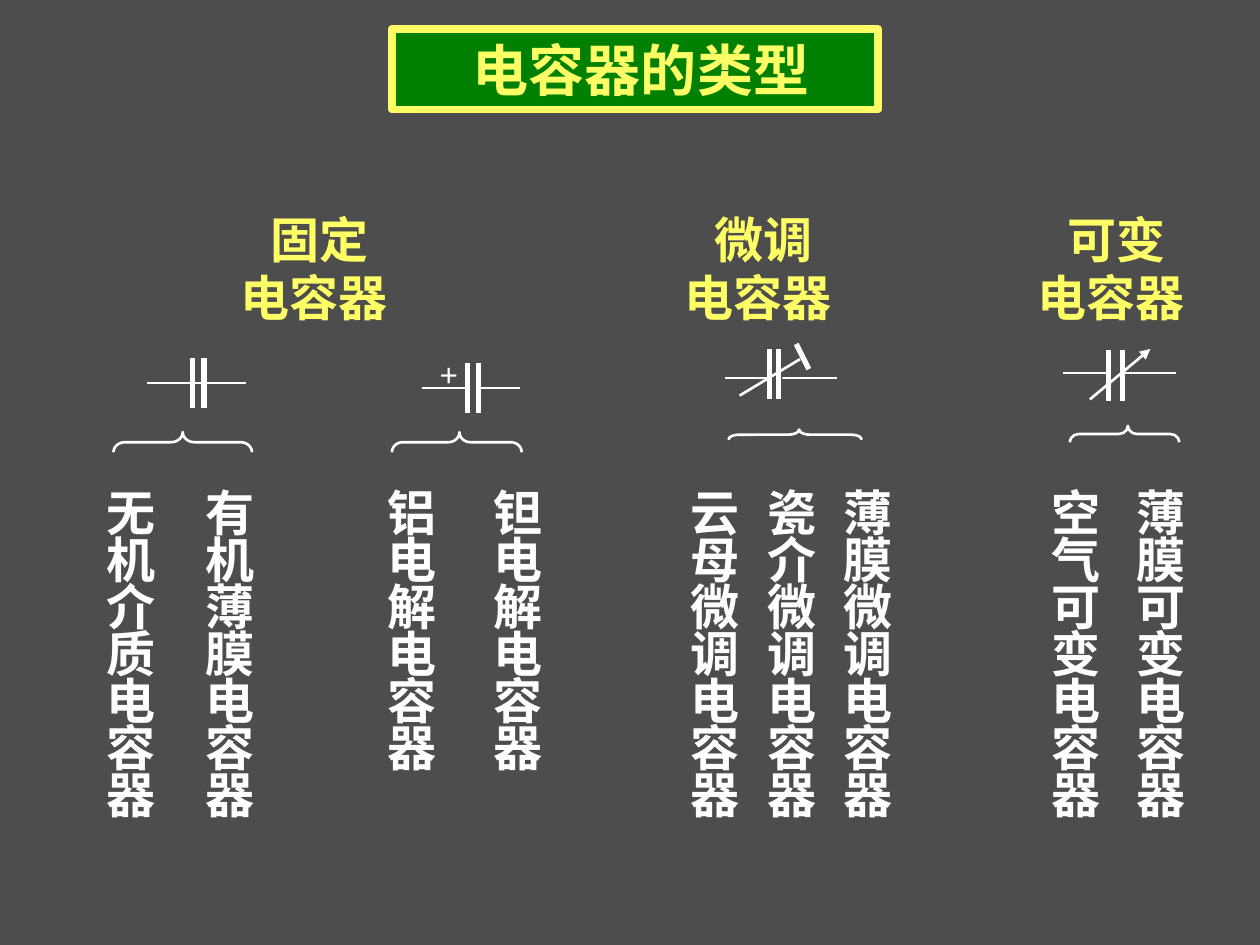
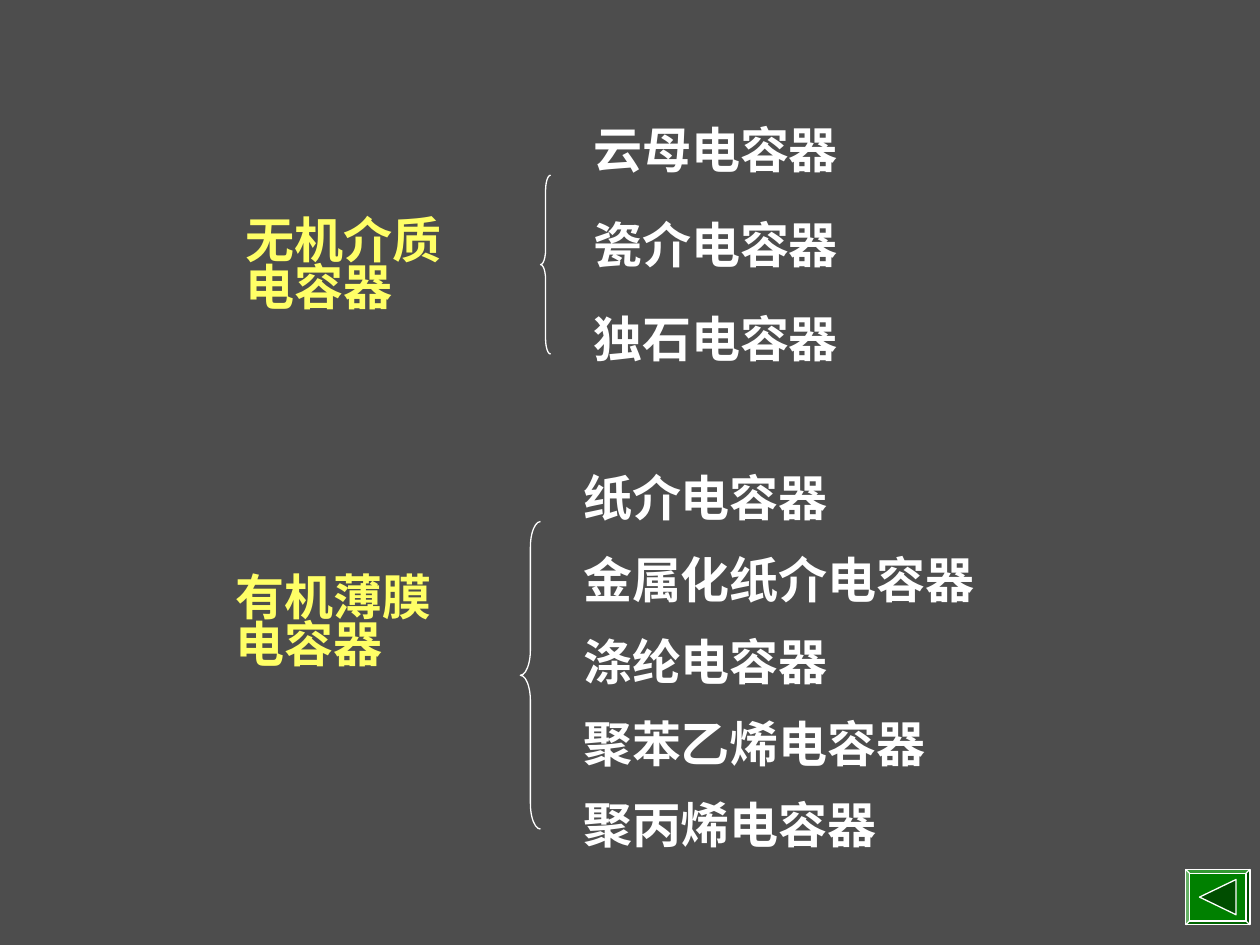
from pptx import Presentation
from pptx.util import Inches, Pt
from pptx.dml.color import RGBColor
from pptx.enum.shapes import MSO_SHAPE as Preset, MSO_CONNECTOR as Link
from pptx.enum.text import MSO_ANCHOR as Anchor, MSO_AUTO_SIZE as AutoSize, PP_ALIGN as Align
from pptx.oxml.ns import qn
from lxml.etree import SubElement

GREY, GREEN, DARK_GREEN = "4D4D4D", "008000", "004D00"
YELLOW, WHITE = "FFFF66", "FFFFFF"
SERIF, HEITI, SANS = "Times New Roman", "Noto Sans CJK SC", "Arial"


def color(hex_code):
    return RGBColor.from_string(hex_code)


class Deck:
    def __init__(self):
        self.prs = Presentation()
        self.prs.slide_width, self.prs.slide_height = Inches(10), Inches(7.5)
        backdrop = self.prs.slide_master.background.fill
        backdrop.solid()
        backdrop.fore_color.rgb = color(GREY)

    def new_slide(self):
        self.slide = self.prs.slides.add_slide(self.prs.slide_layouts[6])
        self.shapes = self.slide.shapes

    def paint(self, shape, fill=None, line=None, weight=0.75):
        shape.shadow.inherit = False
        if fill:
            shape.fill.solid()
            shape.fill.fore_color.rgb = color(fill)
        else:
            shape.fill.background()
        if line:
            shape.line.color.rgb = color(line)
            shape.line.width = Pt(weight)
        else:
            shape.line.fill.background()
        return shape

    def fill_text(self, frame, lines, ink, size=28, font=SERIF, bold=True,
                  align=Align.LEFT, spacing=None):
        frame.word_wrap = True
        for i, words in enumerate(lines):
            para = frame.paragraphs[0] if i == 0 else frame.add_paragraph()
            para.alignment = align
            para.line_spacing = spacing
            run = para.add_run()
            run.text = words
            run.font.name, run.font.size, run.font.bold = font, Pt(size), bold
            run.font.color.rgb = color(ink)
            SubElement(run.font._element, qn("a:ea")).set("typeface", HEITI)

    def text(self, left, top, width, height, lines, ink=WHITE, **style):
        box = self.shapes.add_textbox(Inches(left), Inches(top), Inches(width), Inches(height))
        self.fill_text(box.text_frame, lines, ink, **style)
        box.text_frame.auto_size = AutoSize.SHAPE_TO_FIT_TEXT

    def preset(self, kind, left, top, width, height, **look):
        shape = self.shapes.add_shape(kind, Inches(left), Inches(top), Inches(width), Inches(height))
        return self.paint(shape, **look)

    def title(self, words):
        banner = self.preset(Preset.RECTANGLE, 3.11, 0.23, 3.86, 0.64,
                             fill=GREEN, line=YELLOW, weight=4.5)
        banner.text_frame.margin_right = 0
        banner.text_frame.vertical_anchor = Anchor.MIDDLE
        self.fill_text(banner.text_frame, [words], YELLOW, size=32, align=Align.CENTER)

    def line(self, x1, y1, x2, y2, weight=1.5, arrow=False):
        link = self.shapes.add_connector(Link.STRAIGHT, Inches(x1), Inches(y1), Inches(x2), Inches(y2))
        link.line.color.rgb = color(WHITE)
        link.line.width = Pt(weight)
        properties = link._element.spPr
        if arrow:
            SubElement(properties.find(qn("a:ln")), qn("a:tailEnd")).set("type", "triangle")
        SubElement(properties, qn("a:effectLst"))

    def brace(self, left, top, width, height, tip=0.5, weight=0.75):
        """Left brace whose curves each take a twelfth of its height."""
        brace = self.preset(Preset.LEFT_BRACE, left, top, width, height, line=WHITE, weight=weight)
        brace.adjustments[0] = height / 12 / width
        brace.adjustments[1] = tip
        return brace

    def top_brace(self, left, top, span, depth, tip):
        """Brace pointing up, over the given span."""
        brace = self.brace(left + (span - depth) / 2, top + (depth - span) / 2,
                           depth, span, tip, weight=1.5)
        brace.rotation = 90

    def capacitor(self, left, y, length, plates, plate_top, gap=True):
        self.line(left, y, left + length, y)
        if gap:
            self.preset(Preset.RECTANGLE, plates[0], y - 0.23, 0.1, 0.46, fill=GREY)
        for x in plates:
            self.line(x, plate_top, x, plate_top + 0.4, weight=3)

    def back_button(self, left, top, width, height):
        button = self.preset(Preset.BEVEL, left, top, width, height, fill=GREEN, line=WHITE)
        button.adjustments[0] = 0.07
        tip, base, middle = left + 0.11, left + 0.4, top + height / 2
        outline = self.shapes.build_freeform(Inches(tip), Inches(middle))
        outline.add_line_segments([(Inches(base), Inches(middle - 0.14)),
                                   (Inches(base), Inches(middle + 0.14))], close=True)
        self.paint(outline.convert_to_shape(), fill=DARK_GREEN, line=WHITE)


def types_slide(deck):
    deck.new_slide()
    deck.title("电容器的类型")

    # Families
    for family, left, width in [("固定", 1.46, 2.15), ("微调", 5.08, 1.96), ("可变", 7.88, 1.96)]:
        deck.text(left, 1.61, width, 1.04, [family, "电容器 "], YELLOW,
                  font=HEITI, align=Align.CENTER)

    # Circuit symbols: fixed, electrolytic, trimmer, variable
    deck.capacitor(1.17, 3.04, 0.78, (1.53, 1.62), 2.84, gap=False)
    deck.capacitor(3.35, 3.08, 0.78, (3.71, 3.8), 2.88)
    deck.text(3.39, 2.77, 0.58, 0.4, ["+"], size=18, font=SANS, bold=False)
    deck.capacitor(5.75, 3, 0.89, (6.11, 6.18), 2.77)
    deck.line(5.87, 3.14, 6.35, 2.85)
    deck.line(6.32, 2.73, 6.42, 2.93, weight=3)
    deck.capacitor(8.44, 2.96, 0.89, (8.8, 8.91), 2.78)
    deck.line(8.65, 3.17, 9.13, 2.77, arrow=True)

    # Braces: left, top, span, depth, tip measured from the right
    for brace in [(0.9, 3.43, 1.1, 0.16, 0.5), (3.11, 3.43, 1.03, 0.16, 0.48),
                  (5.78, 3.41, 1.06, 0.08, 0.47), (8.49, 3.38, 0.87, 0.13, 0.47)]:
        deck.top_brace(*brace)

    # Members, one character per line
    for member, left in [("无机介质电容器", 0.75), ("有机薄膜电容器", 1.53),
                         ("铝电解电容器", 2.98), ("钽电解电容器", 3.82),
                         ("云母微调电容器", 5.38), ("瓷介微调电容器", 5.99),
                         ("薄膜微调电容器", 6.6),
                         ("空气可变电容器", 8.25), ("薄膜可变电容器", 8.92)]:
        deck.text(left, 3.87, 0.7, 2.72, [member], spacing=0.8)


def fixed_slide(deck):
    deck.new_slide()
    groups = [
        # heading, its place, brace, first item's place, item step, items
        ("无机介质", (1.85, 1.7), (4.29, 1.39, 0.08, 1.42), (4.61, 0.99), 0.75,
         ["云母电容器", "瓷介电容器", "独石电容器"]),
        ("有机薄膜", (1.77, 4.54), (4.13, 4.14, 0.16, 2.44), (4.53, 3.75), 0.65,
         ["纸介电容器", "金属化纸介电容器", "涤纶电容器", "聚苯乙烯电容器", "聚丙烯电容器"]),
    ]
    for heading, place, brace, (left, top), step, items in groups:
        deck.text(*place, 2.3, 0.85, [heading, "电容器"], YELLOW, spacing=0.8)
        deck.brace(*brace)
        for i, item in enumerate(items):
            deck.text(left, top + i * step, 3.78, 0.48, [item], spacing=0.8)
    deck.back_button(9.41, 6.9, 0.51, 0.44)


def main():
    deck = Deck()
    types_slide(deck)
    fixed_slide(deck)
    deck.prs.save("out.pptx")


if __name__ == "__main__":
    main()
